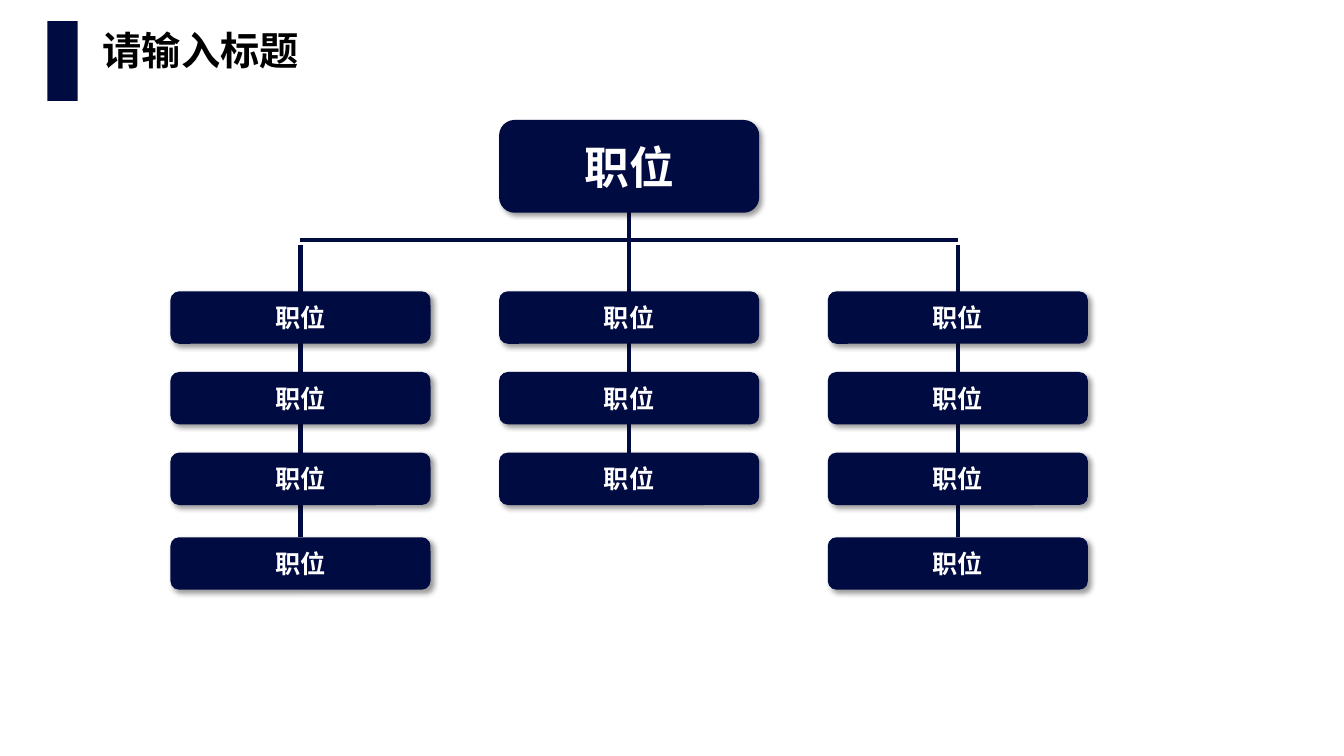
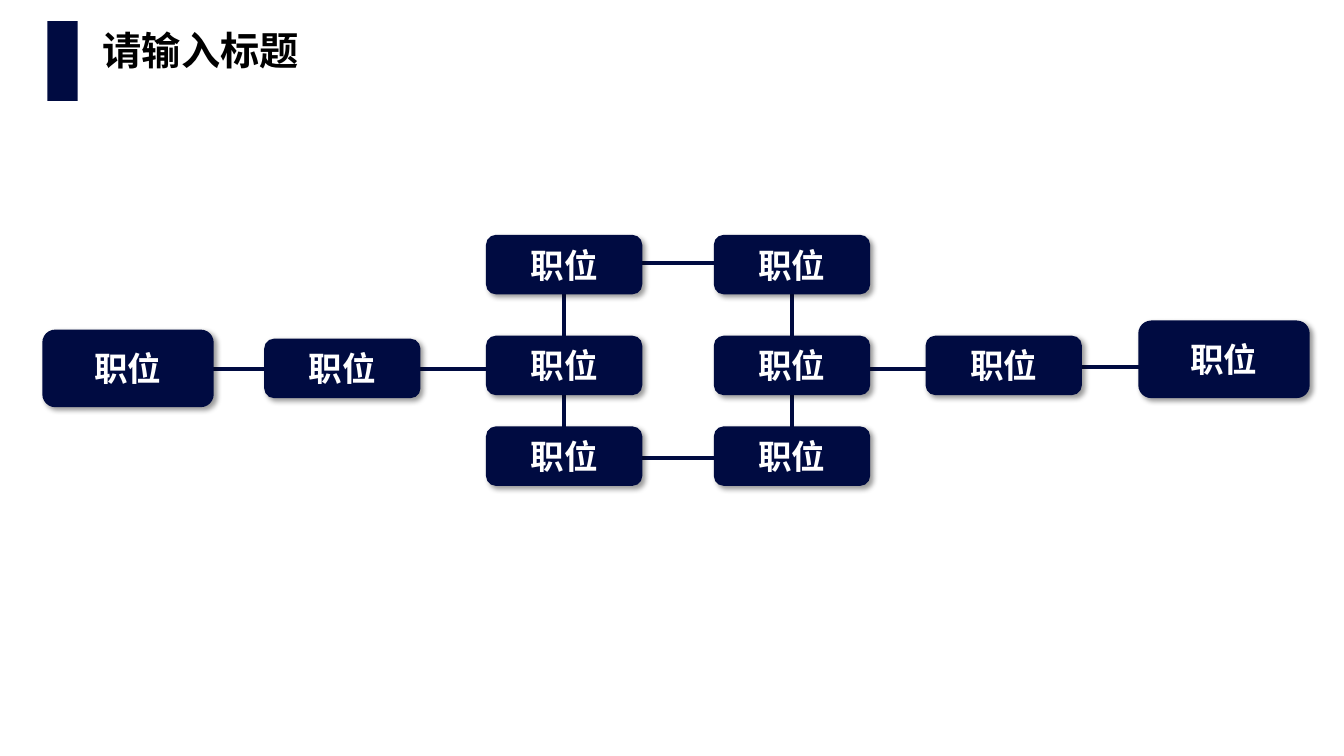
from dataclasses import dataclass

from lxml.etree import SubElement
from pptx import Presentation
from pptx.dml.color import RGBColor
from pptx.enum.shapes import MSO_CONNECTOR as CONNECTOR, MSO_SHAPE as SHAPE
from pptx.enum.text import MSO_ANCHOR as ANCHOR, PP_ALIGN as ALIGN
from pptx.oxml.ns import qn
from pptx.util import Inches, Pt


@dataclass(frozen=True)
class Theme:
    navy: RGBColor = RGBColor(0x00, 0x0B, 0x41)
    black: RGBColor = RGBColor(0x00, 0x00, 0x00)
    white: RGBColor = RGBColor(0xFF, 0xFF, 0xFF)
    font: str = "Noto Sans CJK SC"
    title_size: int = 28
    head_size: int = 32
    staff_size: int = 18
    chain_size: int = 24
    line_width: int = 3


THEME = Theme()
TITLE = "请输入标题"
POSITION = "职位"


# Shared elements
def format_runs(p, size, color):
    for r in p.runs:
        r.font.name = THEME.font
        r.font.size = Pt(size)
        r.font.bold = True
        r.font.color.rgb = color
        SubElement(r.font._element, qn("a:ea"), typeface=THEME.font)


def add_box(slide, shape, left, top, width, height):
    sp = slide.shapes.add_shape(shape, Inches(left), Inches(top),
                                Inches(width), Inches(height))
    sp.shadow.inherit = False
    sp.fill.solid()
    sp.fill.fore_color.rgb = THEME.navy
    sp.line.fill.background()
    return sp


def add_node(slide, left, top, width, height, size):
    sp = add_box(slide, SHAPE.ROUNDED_RECTANGLE, left, top, width, height)
    effects = sp.element.spPr.find(qn("a:effectLst"))
    shadow = SubElement(effects, qn("a:outerShdw"), blurRad=str(Pt(4)),
                        dist=str(Pt(3)), dir=str(45 * 60000),
                        algn="tl", rotWithShape="0")
    color = SubElement(shadow, qn("a:srgbClr"), val=str(THEME.black))
    SubElement(color, qn("a:alpha"), val="40000")
    tf = sp.text_frame
    tf.text = POSITION
    tf.vertical_anchor = ANCHOR.MIDDLE
    p = tf.paragraphs[0]
    p.alignment = ALIGN.CENTER
    format_runs(p, size, THEME.white)


def add_line(slide, x1, y1, x2, y2):
    line = slide.shapes.add_connector(CONNECTOR.STRAIGHT, Inches(x1),
                                      Inches(y1), Inches(x2), Inches(y2))
    line.line.color.rgb = THEME.navy
    line.line.width = Pt(THEME.line_width)
    SubElement(line.element.spPr, qn("a:effectLst"))


def add_titled_slide(prs):
    slide = prs.slides.add_slide(prs.slide_layouts[5])
    title = slide.shapes.title
    title.left, title.top = Inches(0.92), Inches(0.31)
    title.width, title.height = Inches(8.43), Inches(0.6)
    tf = title.text_frame
    tf.text = TITLE
    tf.vertical_anchor = ANCHOR.TOP
    tf.margin_top = tf.margin_bottom = 0
    p = tf.paragraphs[0]
    p.alignment = ALIGN.LEFT
    p.line_spacing = 0.9
    format_runs(p, THEME.title_size, THEME.black)
    add_box(slide, SHAPE.RECTANGLE, 0.47, 0.21, 0.3, 0.79)
    return slide


# Organisation tree: one head above three columns of staff
def add_tree(slide):
    width, height, head_top, bus_y = 2.58, 0.52, 1.19, 2.38
    lefts = [1.69 + 3.26 * i for i in range(3)]
    centers = [left + width / 2 for left in lefts]
    rows = [2.89, 3.69, 4.49, 5.33]
    counts = [4, 3, 4]
    starts = [2.43, 1.45, 2.43]

    add_line(slide, centers[0], bus_y, centers[-1], bus_y)
    for center, start, count in zip(centers, starts, counts):
        add_line(slide, center, start, center, rows[count - 1])

    add_node(slide, lefts[1], head_top, width, 0.92, THEME.head_size)
    for left, count in zip(lefts, counts):
        for top in rows[:count]:
            add_node(slide, left, top, width, height, THEME.staff_size)


# Chain: two end nodes linked through a double column
def add_chain(slide):
    width, height = 1.55, 0.59
    end_width, end_height = 1.7, 0.77
    columns = [4.82, 7.08]
    rows = [2.33, 3.33, 4.23]

    for left in columns:
        center = left + width / 2
        add_line(slide, center, 2.7, center, 4.6)
    links = [(2.11, 5.09, 3.66), (6.22, 7.44, 2.61), (6.09, 7.3, 4.54),
             (8.26, 9.47, 3.66), (10.29, 11.5, 3.64)]
    for x1, x2, y in links:
        add_line(slide, x1, y, x2, y)

    for left, top in [(0.42, 3.27), (11.29, 3.18)]:
        add_node(slide, left, top, end_width, end_height, THEME.chain_size)
    grid = [(left, top) for left in columns for top in rows]
    for left, top in [(2.62, 3.36), *grid, (9.18, 3.33)]:
        add_node(slide, left, top, width, height, THEME.chain_size)


def main():
    prs = Presentation()
    prs.slide_width, prs.slide_height = Inches(13.33), Inches(7.5)
    for add_diagram in (add_tree, add_chain):
        add_diagram(add_titled_slide(prs))
    prs.save("out.pptx")


if __name__ == "__main__":
    main()
